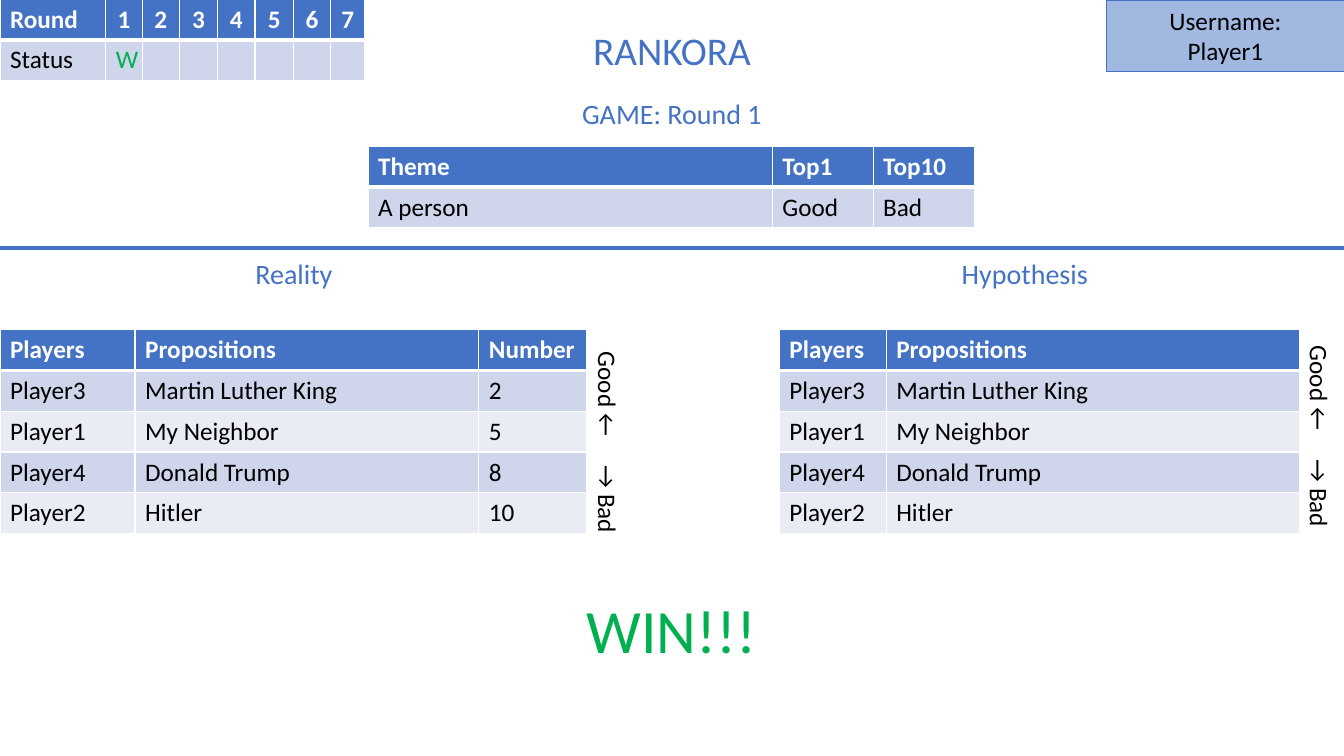
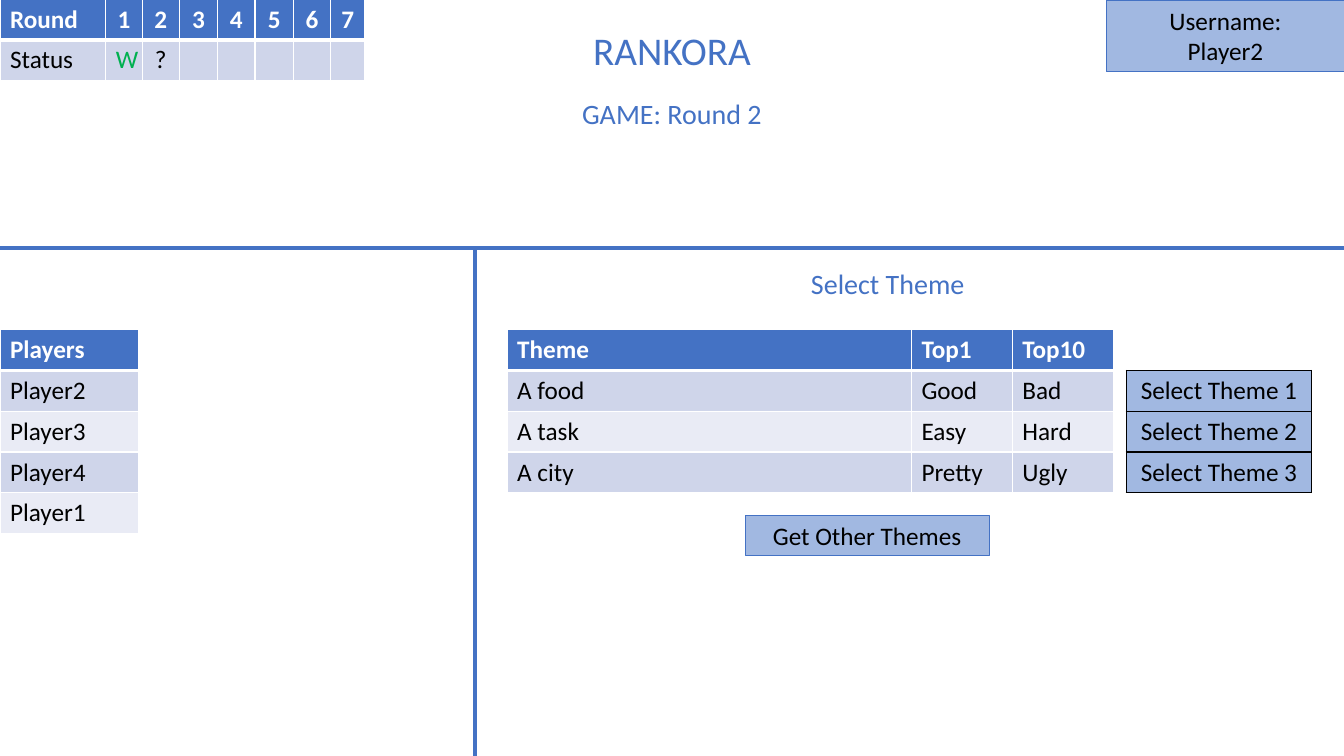
"""Build two game screens of the Rankora party game: a round result and a theme choice."""
from dataclasses import dataclass

from lxml import etree
from pptx import Presentation
from pptx.dml.color import RGBColor
from pptx.dml.fill import FillFormat
from pptx.enum.shapes import MSO_CONNECTOR, MSO_SHAPE
from pptx.enum.text import PP_ALIGN
from pptx.oxml.ns import qn
from pptx.slide import Slide
from pptx.table import _Cell
from pptx.text.text import TextFrame
from pptx.util import Inches, Pt

BLUE = RGBColor(0x44, 0x72, 0xC4)
BAND_DARK = RGBColor(0xCF, 0xD5, 0xEA)
BAND_LIGHT = RGBColor(0xE9, 0xEB, 0xF5)
GREEN = RGBColor(0x00, 0xB0, 0x50)
BLACK = RGBColor(0x00, 0x00, 0x00)
WHITE = RGBColor(0xFF, 0xFF, 0xFF)

LEFT, CENTER = PP_ALIGN.LEFT, PP_ALIGN.CENTER
RECTANGLE = MSO_SHAPE.RECTANGLE
STRAIGHT = MSO_CONNECTOR.STRAIGHT

FONT = "Calibri"
BODY_SIZE = 18
HEADING_SIZE = 20
SLIDE_W, SLIDE_H = 13.33, 7.5
ROW_H = 0.405
HEADING_W, HEADING_H = 2.83, 0.44
DIVIDER_Y = 2.46
BOARD_Y = 3.27
ROUND_COLS = [1.05, 0.36, 0.37, 0.38, 0.37, 0.38, 0.37, 0.34]
THEME_COLS = [4.01, 1, 1.01]
THEME_HEADER = ["Theme", "Top1", "Top10"]
RANKING = [
    ["Players", "Propositions", "Number"],
    ["Player3", "Martin Luther King", "2"],
    ["Player1", "My Neighbor", "5"],
    ["Player4", "Donald Trump", "8"],
    ["Player2", "Hitler", "10"],
]


@dataclass
class Box:
    """Frame on the slide, in inches."""
    left: float
    top: float
    width: float
    height: float

    def emu(self) -> tuple[int, int, int, int]:
        """Return the frame as lengths for python-pptx."""
        return (Inches(self.left), Inches(self.top),
                Inches(self.width), Inches(self.height))


@dataclass
class Grid:
    """Table with a blue header row and banded body rows."""
    left: float
    top: float
    cols: list[float]
    rows: list[list[str]]
    centered_from: int = 99


@dataclass
class Round:
    """State shared by the top of every screen."""
    number: int
    username: str
    statuses: list[str]


def style_text(frame: TextFrame, size: float, color: RGBColor,
               align: PP_ALIGN = CENTER, bold: bool = False) -> None:
    """Apply one font and alignment to every paragraph."""
    for paragraph in frame.paragraphs:
        paragraph.alignment = align
        font = paragraph.font
        font.name, font.size, font.bold = FONT, Pt(size), bold
        font.color.rgb = color


def fill_half_blue(fill: FillFormat) -> None:
    """Fill with blue at half opacity."""
    fill.solid()
    fill.fore_color.rgb = BLUE
    color = fill._xPr.find(qn("a:solidFill")).find(qn("a:srgbClr"))
    etree.SubElement(color, qn("a:alpha"), val="50000")


def set_borders(cell: _Cell, color: RGBColor, bottom: float = 1) -> None:
    """Draw the four cell borders, 1 pt except the bottom one."""
    properties = cell._tc.get_or_add_tcPr()
    for side, width in (("L", 1), ("R", 1), ("T", 1), ("B", bottom)):
        line = etree.SubElement(properties, qn(f"a:ln{side}"), w=str(Pt(width)))
        solid = etree.SubElement(line, qn("a:solidFill"))
        etree.SubElement(solid, qn("a:srgbClr"), val=str(color))


def add_label(slide: Slide, box: Box, text: str, size: float = HEADING_SIZE,
              color: RGBColor = BLUE, align: PP_ALIGN = CENTER) -> TextFrame:
    """Add a text label and return its frame."""
    frame = slide.shapes.add_textbox(*box.emu()).text_frame
    frame.word_wrap = True
    frame.text = text
    style_text(frame, size, color, align)
    return frame


def add_heading(slide: Slide, left: float, top: float, text: str) -> None:
    """Add a section heading."""
    add_label(slide, Box(left, top, HEADING_W, HEADING_H), text)


def add_scale(slide: Slide, left: float, top: float) -> None:
    """Add the vertical scale from good to bad."""
    label = slide.shapes.add_textbox(*Box(left, top, 2.22, 0.4).emu())
    label.rotation = 90
    frame = label.text_frame
    frame.word_wrap = True
    frame.margin_left = Inches(0.17)
    frame.margin_right = 0
    frame.text = "Good ←\t→ Bad"
    style_text(frame, BODY_SIZE, BLACK, LEFT)
    properties = frame.paragraphs[0]._p.get_or_add_pPr()
    stops = etree.Element(qn("a:tabLst"))
    etree.SubElement(stops, qn("a:tab"), pos=str(Inches(1.13)), algn="l")
    properties.insert(0, stops)


def add_panel(slide: Slide, box: Box, text: str) -> None:
    """Add a half-transparent blue panel with centred text."""
    panel = slide.shapes.add_shape(RECTANGLE, *box.emu())
    panel.shadow.inherit = False
    fill_half_blue(panel.fill)
    panel.line.color.rgb = BLUE
    panel.line.width = Pt(0.75)
    panel.text_frame.text = text
    style_text(panel.text_frame, BODY_SIZE, BLACK)


def add_divider(slide: Slide, x1: float, y1: float, x2: float, y2: float) -> None:
    """Add a thick blue dividing line."""
    divider = slide.shapes.add_connector(
        STRAIGHT, Inches(x1), Inches(y1), Inches(x2), Inches(y2))
    divider.line.color.rgb = BLUE
    divider.line.width = Pt(3)
    etree.SubElement(divider._element.spPr, qn("a:effectLst"))


def add_cells(slide: Slide, grid: Grid) -> list[list[_Cell]]:
    """Add a sized table with its wording and return its cells."""
    box = Box(grid.left, grid.top, sum(grid.cols), ROW_H * len(grid.rows))
    table = slide.shapes.add_table(
        len(grid.rows), len(grid.cols), *box.emu()).table
    table.first_row = table.horz_banding = False
    for column, width in zip(table.columns, grid.cols):
        column.width = Inches(width)
    for row, texts in zip(table.rows, grid.rows):
        row.height = Inches(ROW_H)
        for cell, text in zip(row.cells, texts):
            cell.text = text
    return [list(row.cells) for row in table.rows]


def add_grid(slide: Slide, grid: Grid) -> None:
    """Add a banded table."""
    for r, cells in enumerate(add_cells(slide, grid)):
        header = r == 0
        band = BLUE if header else BAND_DARK if r % 2 else BAND_LIGHT
        for c, cell in enumerate(cells):
            set_borders(cell, WHITE, 3 if header else 1)
            cell.fill.solid()
            cell.fill.fore_color.rgb = band
            color = WHITE if header else GREEN if cell.text == "W" else BLACK
            align = CENTER if c >= grid.centered_from else LEFT
            style_text(cell.text_frame, BODY_SIZE, color, align, header)


def add_button_column(slide: Slide, grid: Grid) -> None:
    """Add stacked buttons with black borders."""
    for cells in add_cells(slide, grid):
        for cell in cells:
            set_borders(cell, BLACK)
            fill_half_blue(cell.fill)
            style_text(cell.text_frame, BODY_SIZE, BLACK)


def add_screen(deck: Presentation, state: Round) -> Slide:
    """Add a slide with the title, user, round tracker and divider."""
    slide = deck.slides.add_slide(deck.slide_layouts[6])
    add_panel(slide, Box(10.97, 0, 2.37, 0.71), f"Username:\n{state.username}")
    add_label(slide, Box(5.25, 0.21, HEADING_W, 0.57), "RANKORA", 28)
    add_heading(slide, 5.25, 0.91, f"GAME: Round {state.number}")
    add_divider(slide, 0, DIVIDER_Y, SLIDE_W, DIVIDER_Y)
    rounds = [str(number) for number in range(1, len(ROUND_COLS))]
    statuses = state.statuses + [""] * (len(rounds) - len(state.statuses))
    tracker = [["Round", *rounds], ["Status", *statuses]]
    add_grid(slide, Grid(0, -0.01, ROUND_COLS, tracker, centered_from=1))
    return slide


def add_result_screen(deck: Presentation) -> None:
    """Add the screen that compares the real and guessed rankings."""
    slide = add_screen(deck, Round(1, "Player1", ["W"]))
    add_grid(slide, Grid(3.65, 1.45, THEME_COLS,
                         [THEME_HEADER, ["A person", "Good", "Bad"]]))
    add_heading(slide, 1.5, 2.5, "Reality")
    add_heading(slide, 8.75, 2.5, "Hypothesis")
    add_grid(slide, Grid(0, BOARD_Y, [1.34, 3.41, 1.07], RANKING))
    add_grid(slide, Grid(7.73, BOARD_Y, [1.06, 4.1],
                         [row[:2] for row in RANKING]))
    add_scale(slide, 4.92, 4.23)
    add_scale(slide, 11.98, 4.17)
    add_label(slide, Box(5.22, 5.82, 2.88, 0.84), "WIN!!!", 44, GREEN)


def add_theme_screen(deck: Presentation) -> None:
    """Add the screen where a player selects the next theme."""
    slide = add_screen(deck, Round(2, "Player2", ["W", "?"]))
    add_divider(slide, 4.71, DIVIDER_Y, 4.71, SLIDE_H)
    add_heading(slide, 7.39, 2.59, "Select Theme")
    players = ["Players", "Player2", "Player3", "Player4", "Player1"]
    add_grid(slide, Grid(0, BOARD_Y, [1.37], [[name] for name in players]))
    themes = [["A food", "Good", "Bad"], ["A task", "Easy", "Hard"],
              ["A city", "Pretty", "Ugly"]]
    add_grid(slide, Grid(5.03, BOARD_Y, THEME_COLS, [THEME_HEADER, *themes]))
    buttons = [[f"Select Theme {i}"] for i in range(1, len(themes) + 1)]
    add_button_column(slide, Grid(11.17, BOARD_Y + ROW_H, [1.84], buttons))
    add_panel(slide, Box(7.39, 5.11, 2.42, 0.4), "Get Other Themes")


def main() -> None:
    """Build and save the deck."""
    deck = Presentation()
    deck.slide_width, deck.slide_height = Inches(SLIDE_W), Inches(SLIDE_H)
    add_result_screen(deck)
    add_theme_screen(deck)
    deck.save("out.pptx")


if __name__ == "__main__":
    main()
